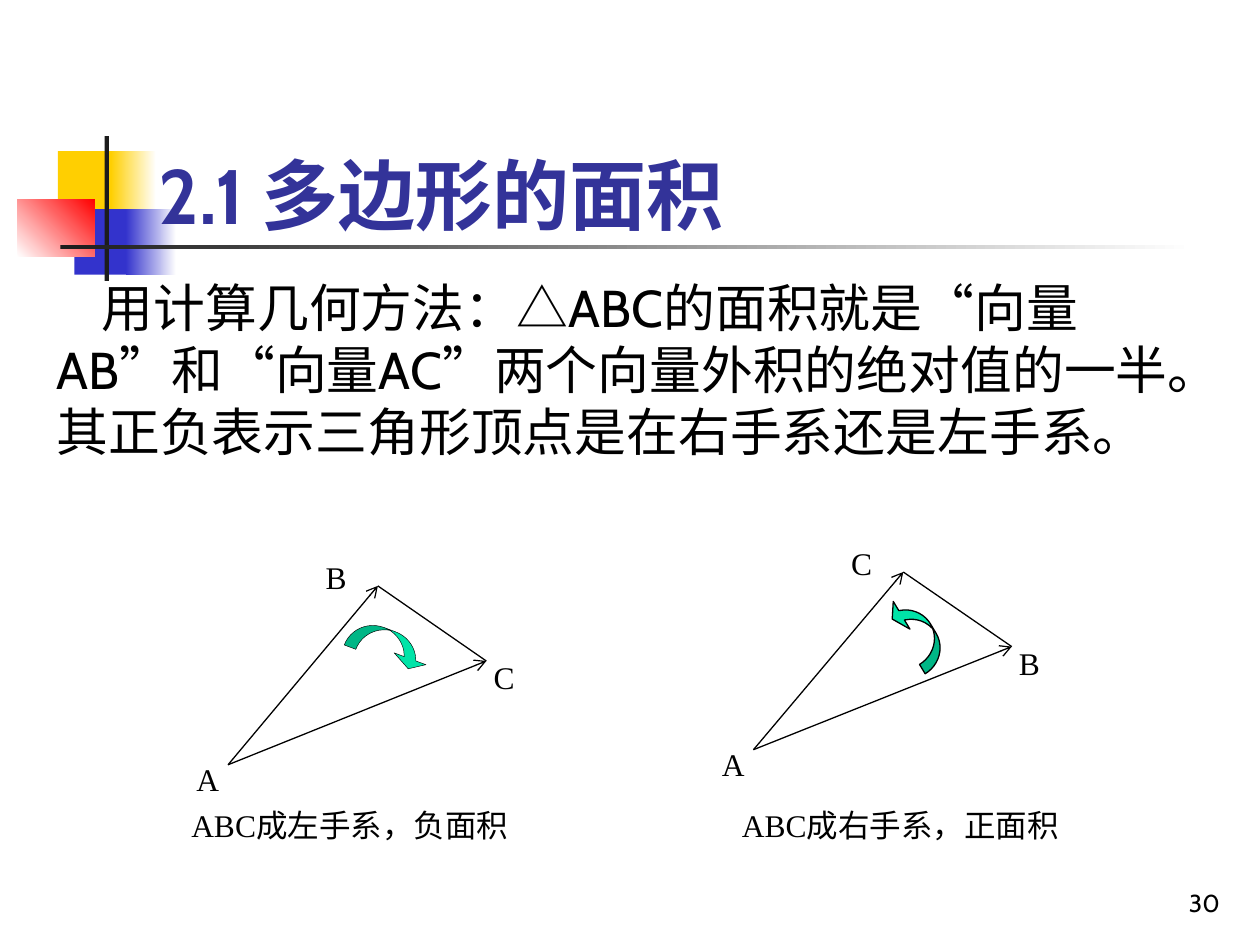
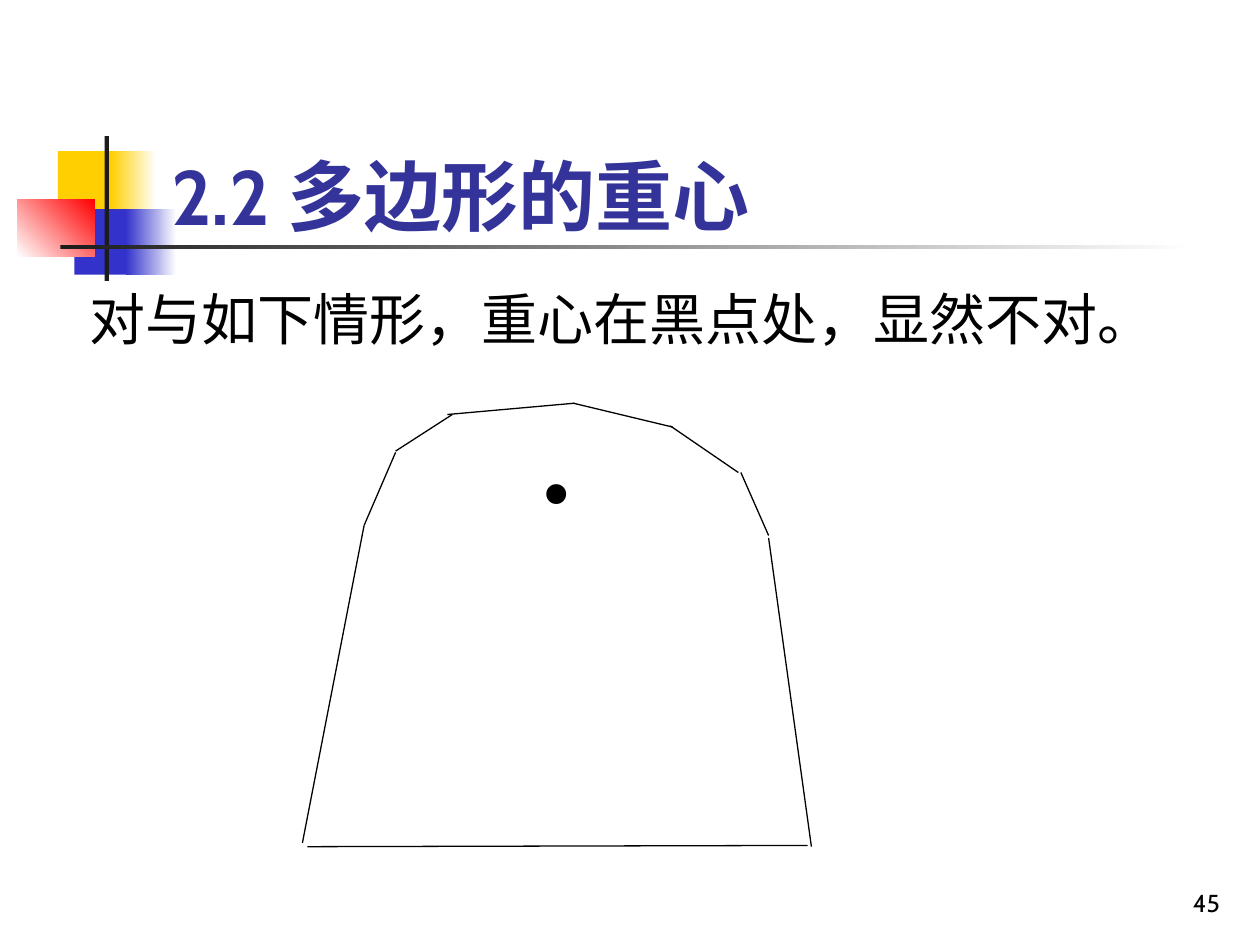
from collections import namedtuple
from itertools import groupby

from lxml import etree
from pptx import Presentation
from pptx.dml.color import RGBColor
from pptx.enum.shapes import MSO_CONNECTOR, MSO_SHAPE
from pptx.enum.text import MSO_ANCHOR, PP_ALIGN
from pptx.oxml.ns import qn
from pptx.util import Inches, Pt

RECTANGLE = MSO_SHAPE.RECTANGLE
CLOCKWISE_ARROW = MSO_SHAPE.CURVED_DOWN_ARROW
COUNTER_ARROW = MSO_SHAPE.CURVED_UP_ARROW
STRAIGHT = MSO_CONNECTOR.STRAIGHT
TOP, BOTTOM = MSO_ANCHOR.TOP, MSO_ANCHOR.BOTTOM
LEFT, RIGHT = PP_ALIGN.LEFT, PP_ALIGN.RIGHT

BLACK = RGBColor(0x00, 0x00, 0x00)
WHITE = RGBColor(0xFF, 0xFF, 0xFF)
CHARCOAL = RGBColor(0x1C, 0x1C, 0x1C)
YELLOW = RGBColor(0xFF, 0xCF, 0x01)
BLUE = RGBColor(0x33, 0x33, 0xCC)
RED = RGBColor(0xFF, 0x00, 0x00)
NAVY = RGBColor(0x33, 0x33, 0x99)
GREEN = RGBColor(0x00, 0xE4, 0xA8)

SANS, SERIF, QUOTE_FONT = "Cabin", "Times New Roman", "Arial"
QUOTES = "“”"

# The page is a grid of 100 columns and 75 rows of square cells.
COLUMNS, ROWS = 100, 75
CELL = Inches(0.1)

Box = namedtuple("Box", "left top width height")
PAGE = Box(0, 0, COLUMNS, ROWS)


def cells(*counts):
    return [round(count * CELL) for count in counts]


def share_point(box, across, down):
    """Turn shares of a box into a point on the grid."""
    return box.left + across * box.width, box.top + down * box.height


def add_text(page, box, text, size=18, font=SERIF, color=BLACK, bold=False,
             align=LEFT, anchor=TOP, first_indent=0, rotation=0):
    text_box = page.shapes.add_textbox(*cells(*box))
    text_box.rotation = rotation
    frame = text_box.text_frame
    frame.word_wrap = True
    frame.vertical_anchor = anchor
    para = frame.paragraphs[0]
    para.alignment = align
    if first_indent:
        para._p.get_or_add_pPr().set("indent", str(cells(first_indent)[0]))
    for quoted, letters in groupby(text, key=lambda letter: letter in QUOTES):
        span = para.add_run()
        span.text = "".join(letters)
        span.font.name = QUOTE_FONT if quoted else font
        span.font.size = Pt(size)
        span.font.bold = bold
        span.font.color.rgb = color


def add_block(page, box, start, end=None, angle=0):
    """Add a borderless rectangle, plain or fading from start to end."""
    block = page.shapes.add_shape(RECTANGLE, *cells(*box))
    block.shadow.inherit = False
    block.line.fill.background()
    if end is None:
        block.fill.solid()
        block.fill.fore_color.rgb = start
        return
    block.fill.gradient()
    block.fill.gradient_angle = angle
    for stop, color in zip(block.fill.gradient_stops, (start, end)):
        stop.color.rgb = color


def add_line(page, start, end, arrow=False):
    line = page.shapes.add_connector(STRAIGHT, *cells(*start, *end))
    line.line.color.rgb = BLACK
    line.line.width = Pt(0.75)
    if arrow:
        head = etree.SubElement(line.line._get_or_add_ln(), qn("a:tailEnd"))
        head.set("type", "arrow")
    etree.SubElement(line._element.spPr, qn("a:effectLst"))


def add_ornament(page, box):
    """Draw the coloured squares and the crossing bars beside the title."""
    blocks = [
        ((4.6, 12, 4.8, 5.2), YELLOW),
        ((8.8, 12, 3.6, 5.2), YELLOW, WHITE),
        ((5.9, 16.6, 4.6, 5.2), BLUE),
        ((10, 16.6, 4, 5.2), BLUE, WHITE),
        ((1.4, 15.8, 6.1, 4.6), WHITE, RED, 45),
        ((8.3, 10.8, 0.35, 11.5), CHARCOAL),
        ((4.8, 19.45, 90, 0.35), CHARCOAL, WHITE),
    ]
    for (left, top, width, height), *fill in blocks:
        place = Box(box.left + left, box.top + top, width, height)
        add_block(page, place, *fill)


def add_page(deck, title, title_box, number):
    page = deck.slides.add_slide(deck.slide_layouts[6])
    add_ornament(page, PAGE)
    add_text(page, Box(77, 68.3, 20.8, 5), str(number), size=14, font=SANS,
             align=RIGHT, anchor=BOTTOM)
    add_text(page, title_box, title, size=44, font=SANS, color=NAVY,
             bold=True, anchor=BOTTOM)
    return page


def add_triangle(page, box, top_name, side_name, turn, turn_angle,
                 turn_share, turn_shape, turn_line):
    """Draw the vectors from A, the vertex names and the turning arrow."""
    origin = share_point(box, 0, 1)
    top = share_point(box, 0.58, 0)
    side = share_point(box, 1, 0.42)
    add_line(page, origin, top, arrow=True)
    add_line(page, origin, side, arrow=True)
    add_line(page, top, side)

    names = [(top_name, 0.33, -0.19), (side_name, 0.98, 0.37),
             ("A", -0.17, 0.94)]
    for name, across, down in names:
        add_text(page, Box(*share_point(box, across, down), 6.3, 4), name)

    across, down, width = turn_share
    arrow = page.shapes.add_shape(
        turn, *cells(*share_point(box, across, down), width * box.width, 2.4))
    arrow.rotation = turn_angle
    arrow.shadow.inherit = False
    for index, value in enumerate(turn_shape):
        arrow.adjustments[index] = value
    arrow.fill.solid()
    arrow.fill.fore_color.rgb = GREEN
    arrow.line.color.rgb = BLACK
    arrow.line.width = Pt(turn_line)


def add_outline(page, box):
    """Draw the polygon edge by edge, with its wrong centre as a dot."""
    edges = [
        ((29.4, 1.9), (21.5, 0)),
        ((4.9, 9.7), (0, 34.9)),
        ((0.4, 35.2), (40.1, 35.1)),
        ((40.4, 35.2), (37, 10.7)),
        ((4.9, 9.7), (7.4, 3.9)),
        ((7.4, 3.8), (11.9, 0.9)),
        ((11.5, 0.9), (21.6, 0)),
        ((37, 10.5), (34.8, 5.5)),
        ((34.6, 5.5), (29.2, 1.8)),
    ]
    for edge in edges:
        add_line(page, *((box.left + x, box.top + y) for x, y in edge))
    add_text(page, Box(box.left + 17.7, box.top - 5.9, 9.4, 17), ".",
             size=96, rotation=1.7)


def build_area_page(deck):
    page = add_page(deck, "2.1 多边形的面积", Box(11.6, 9.9, 56.1, 9.6), 30)
    add_text(page, Box(3.5, 21.4, 92.5, 20.5),
             "用计算几何方法：△ABC的面积就是“向量AB”和“向量AC”"
             "两个向量外积的绝对值的一半。其正负表示三角形顶点是在右手系"
             "还是左手系。", size=29.6, font=SANS, first_indent=3.6)
    for left, caption in ((14.2, "ABC成左手系，负面积"),
                          (57.9, "ABC成右手系，正面积")):
        add_text(page, Box(left, 63.5, 30.7, 4), caption)
    add_triangle(page, Box(18.1, 46.5, 20.5, 14.2), "B", "C",
                 CLOCKWISE_ARROW, 20.4, (0.46, 0.25, 0.33),
                 (0.41, 1.12, 0.33), 0.25)
    add_triangle(page, Box(59.8, 45.4, 20.5, 14.1), "C", "B",
                 COUNTER_ARROW, 239, (0.48, 0.25, 0.31),
                 (0.36, 1.07, 0.33), 0.75)


def build_centroid_page(deck):
    page = add_page(deck, "2.2 多边形的重心", Box(12.6, 3.6, 85.2, 16), 45)
    add_outline(page, Box(24, 32, 40.4, 35.2))
    add_text(page, Box(4.3, 22.1, 93.6, 25.7),
             "对与如下情形，重心在黑点处，显然不对。", size=32, font=SANS,
             first_indent=1.8)


def main():
    deck = Presentation()
    deck.slide_width, deck.slide_height = cells(COLUMNS, ROWS)
    build_area_page(deck)
    build_centroid_page(deck)
    deck.save("out.pptx")


if __name__ == "__main__":
    main()
